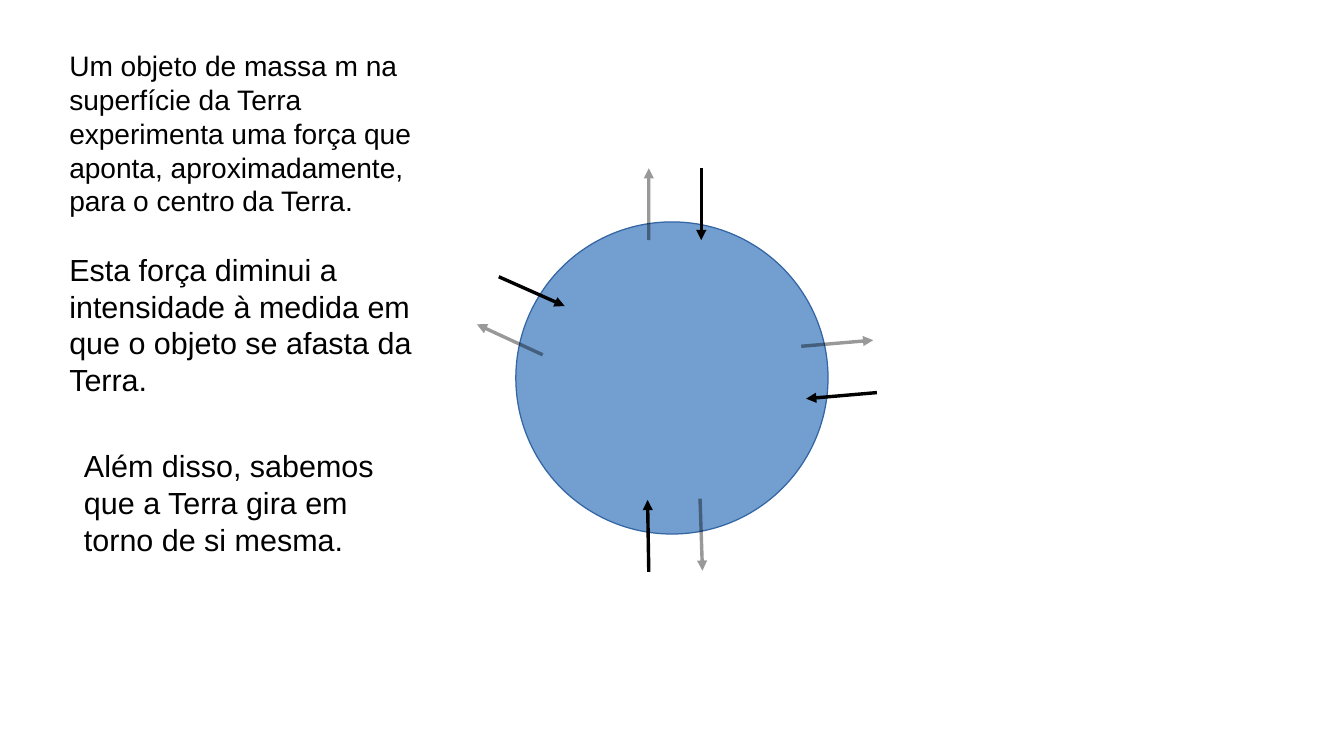
import pptx
import pptx.dml.color
import pptx.enum.shapes
import pptx.enum.text
import pptx.oxml
import pptx.oxml.ns
import pptx.util

BLACK = pptx.dml.color.RGBColor(0x00, 0x00, 0x00)
EARTH_BLUE = pptx.dml.color.RGBColor(0x72, 0x9F, 0xCF)
EARTH_EDGE = pptx.dml.color.RGBColor(0x34, 0x65, 0xA4)

# The page is a grid of square cells
CELL = pptx.util.Inches(0.1)
COLUMNS, ROWS = 110.2, 62
HAIRLINE = 0
OUTWARD_OPACITY = 40

# Paragraphs: text, (column, row, columns, rows), size in points
PARAGRAPHS = [
    ("Um objeto de massa m na superfície da Terra experimenta uma força que "
     "aponta, aproximadamente, para o centro da Terra.",
     (4.7, 3.5, 30.7, 14.2), 16.6),
    ("Esta força diminui a intensidade à medida em que o objeto se afasta "
     "da Terra.",
     (4.7, 20.1, 30.7, 14.2), 18),
    ("Além disso, sabemos que a Terra gira em torno de si mesma.",
     (5.9, 36.2, 29.5, 9.4), 18),
]

# Force pairs: outward (from, to), inward (from, to)
FORCE_PAIRS = [
    (((53.2, 19.7), (53.2, 13.8)), ((57.5, 13.8), (57.5, 19.7))),
    (((57.4, 40.9), (57.6, 46.8)), ((53.2, 46.9), (53.1, 41.0))),
    (((44.5, 29.1), (39.1, 26.6)), ((40.9, 22.7), (46.3, 25.1))),
    (((65.7, 28.4), (71.6, 27.9)), ((71.9, 32.2), (66.1, 32.7))),
]


def cells(*counts):
    return [round(count * CELL) for count in counts]


def add_child(parent, tag, **attributes):
    child = pptx.oxml.parse_xml(f"<{tag} {pptx.oxml.ns.nsdecls('a')}/>")
    for name, value in attributes.items():
        child.set(name, value)
    parent.append(child)


def add_earth(page, column, row, diameter):
    earth = page.shapes.add_shape(
        pptx.enum.shapes.MSO_SHAPE.OVAL, *cells(column, row, diameter, diameter))
    earth.shadow.inherit = False
    earth.fill.solid()
    earth.fill.fore_color.rgb = EARTH_BLUE
    earth.line.color.rgb = EARTH_EDGE
    earth.line.width = HAIRLINE


def add_arrow(group, start, end, opacity=100):
    arrow = group.shapes.add_connector(
        pptx.enum.shapes.MSO_CONNECTOR.STRAIGHT, *cells(*start, *end))
    arrow.line.color.rgb = BLACK
    arrow.line.width = HAIRLINE
    properties = arrow._element.spPr
    line = properties.find(pptx.oxml.ns.qn("a:ln"))
    if opacity < 100:
        color = line.find(".//" + pptx.oxml.ns.qn("a:srgbClr"))
        add_child(color, "a:alpha", val=str(opacity * 1000))
    add_child(line, "a:tailEnd", type="triangle")
    add_child(properties, "a:effectLst")


def add_force_pair(page, outward, inward):
    group = page.shapes.add_group_shape()
    add_arrow(group, *outward, opacity=OUTWARD_OPACITY)
    add_arrow(group, *inward)


def add_paragraph(page, text, area, size):
    box = page.shapes.add_textbox(*cells(*area))
    box.text_frame.word_wrap = True
    box.text_frame.vertical_anchor = pptx.enum.text.MSO_ANCHOR.TOP
    span = box.text_frame.paragraphs[0].add_run()
    span.text = text
    for name, value in {"name": "Arial", "size": pptx.util.Pt(size)}.items():
        setattr(span.font, name, value)
    span.font.color.rgb = BLACK


def main():
    deck = pptx.Presentation()
    deck.slide_width, deck.slide_height = cells(COLUMNS, ROWS)
    page = deck.slides.add_slide(deck.slide_layouts[6])

    # Earth with the forces around it
    add_earth(page, 42.3, 18.2, 25.6)
    for outward, inward in FORCE_PAIRS:
        add_force_pair(page, outward, inward)

    # Explanation on the left
    for text, area, size in PARAGRAPHS:
        add_paragraph(page, text, area, size)

    deck.save("out.pptx")


if __name__ == "__main__":
    main()
